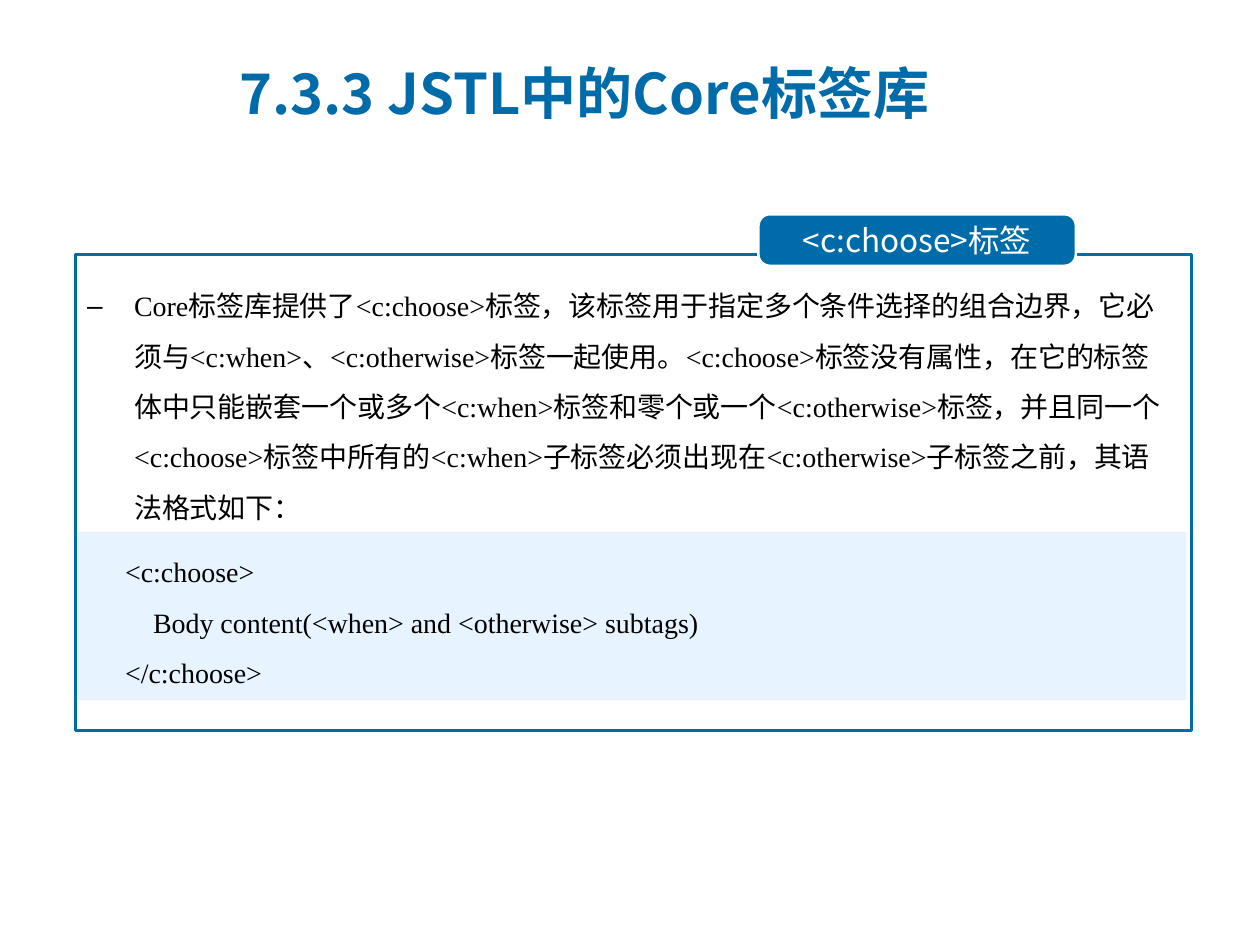
from dataclasses import dataclass
from typing import Optional

from lxml import etree
from pptx import Presentation
from pptx import util as u
from pptx.dml.color import RGBColor
from pptx.enum import shapes, text
from pptx.oxml.ns import qn

BLUE, PALE, WHITE, BLACK = "006BA9", "E7F4FF", "FFFFFF", "000000"
SANS, SERIF = "Noto Sans CJK SC", "Times New Roman"

HEADING = "7.3.3 JSTL中的Core标签库"
EXPLANATION = (
    "Core标签库提供了<c:choose>标签，该标签用于指定多个条件选择的组合边界，"
    "它必须与<c:when>、<c:otherwise>标签一起使用。<c:choose>标签没有属性，"
    "在它的标签体中只能嵌套一个或多个<c:when>标签和零个或一个<c:otherwise>标签，"
    "并且同一个<c:choose>标签中所有的<c:when>子标签必须出现在<c:otherwise>子标签之前，"
    "其语法格式如下："
)
SYNTAX = """     <c:choose>
         Body content(<when> and <otherwise> subtags)
     </c:choose>"""


@dataclass
class Box:
    """A place on the slide in centimetres."""
    left: float
    top: float
    width: float
    height: float

    def lengths(self) -> tuple:
        return tuple(u.Cm(v) for v in (self.left, self.top, self.width, self.height))


@dataclass
class Panel:
    box: Box
    preset: shapes.MSO_SHAPE
    fill: Optional[str] = None
    line: Optional[str] = None


def colour(hex_value: str) -> RGBColor:
    return RGBColor.from_string(hex_value)


def draw_panel(slide, panel: Panel):
    shape = slide.shapes.add_shape(panel.preset, *panel.box.lengths())
    shape.shadow.inherit = False
    if panel.fill:
        shape.fill.solid()
        shape.fill.fore_color.rgb = colour(panel.fill)
    else:
        shape.fill.background()
    if panel.line:
        shape.line.color.rgb = colour(panel.line)
        shape.line.width = u.Pt(1.5)
    else:
        shape.line.fill.background()
    return shape


def move(shape, box: Box) -> None:
    shape.left, shape.top, shape.width, shape.height = box.lengths()


def write(shape, content: str, *, size: float, font: str, fill: str,
          bold: bool = False, align=text.PP_ALIGN.LEFT,
          anchor=text.MSO_ANCHOR.TOP, spacing: float = 1.0,
          hanging: float = 0, bullet: str = "", level: int = 0) -> None:
    """Write one paragraph per line of content, all in the same format."""
    frame = shape.text_frame
    frame.word_wrap = True
    frame.auto_size = text.MSO_AUTO_SIZE.NONE
    frame.vertical_anchor = anchor
    for index, line in enumerate(content.split("\n")):
        paragraph = frame.add_paragraph() if index else frame.paragraphs[0]
        paragraph.level = level
        paragraph.alignment = align
        paragraph.line_spacing = spacing
        paragraph.space_before = u.Pt(0)
        properties = paragraph._p.get_or_add_pPr()
        properties.set("marL", str(u.Cm(hanging)))
        properties.set("indent", str(-u.Cm(hanging)))
        if bullet:
            etree.SubElement(properties, qn("a:buChar"), char=bullet)
        run = paragraph.add_run()
        run.text = line
        run.font.size = u.Pt(size)
        run.font.bold = bold
        run.font.color.rgb = colour(fill)
        run.font.name = font
        etree.SubElement(run._r.get_or_add_rPr(), qn("a:ea"), typeface=SANS)


def main() -> None:
    deck = Presentation()
    deck.slide_width, deck.slide_height = u.Cm(25.4), u.Cm(19.05)
    slide = deck.slides.add_slide(deck.slide_layouts[1])

    heading = slide.shapes.title
    move(heading, Box(4.57, 1.09, 17.22, 1.55))
    write(heading, HEADING, size=32, font=SANS, fill=BLUE, bold=True,
          anchor=text.MSO_ANCHOR.MIDDLE, hanging=1.57)

    explanation = slide.placeholders[1]
    move(explanation, Box(1.5, 5.36, 22.5, 5.56))
    write(explanation, EXPLANATION, size=16, font=SERIF, fill=BLACK,
          spacing=1.5, hanging=0.95, bullet="–", level=1)

    draw_panel(slide, Panel(Box(1.52, 5.13, 22.5, 9.6),
                            shapes.MSO_SHAPE.RECTANGLE, line=BLUE))

    tag_label = draw_panel(slide, Panel(Box(15.29, 4.32, 6.4, 1.04),
                                        shapes.MSO_SHAPE.ROUNDED_RECTANGLE,
                                        fill=BLUE, line=WHITE))
    tag_label.adjustments[0] = 0.22
    write(tag_label, "<c:choose>标签", size=18, font=SANS, fill=WHITE,
          align=text.PP_ALIGN.CENTER, anchor=text.MSO_ANCHOR.MIDDLE)

    syntax = draw_panel(slide, Panel(Box(1.57, 10.72, 22.35, 3.4),
                                     shapes.MSO_SHAPE.RECTANGLE, fill=PALE))
    write(syntax, SYNTAX, size=16, font=SERIF, fill=BLACK, spacing=1.5)

    deck.save("out.pptx")


if __name__ == "__main__":
    main()
